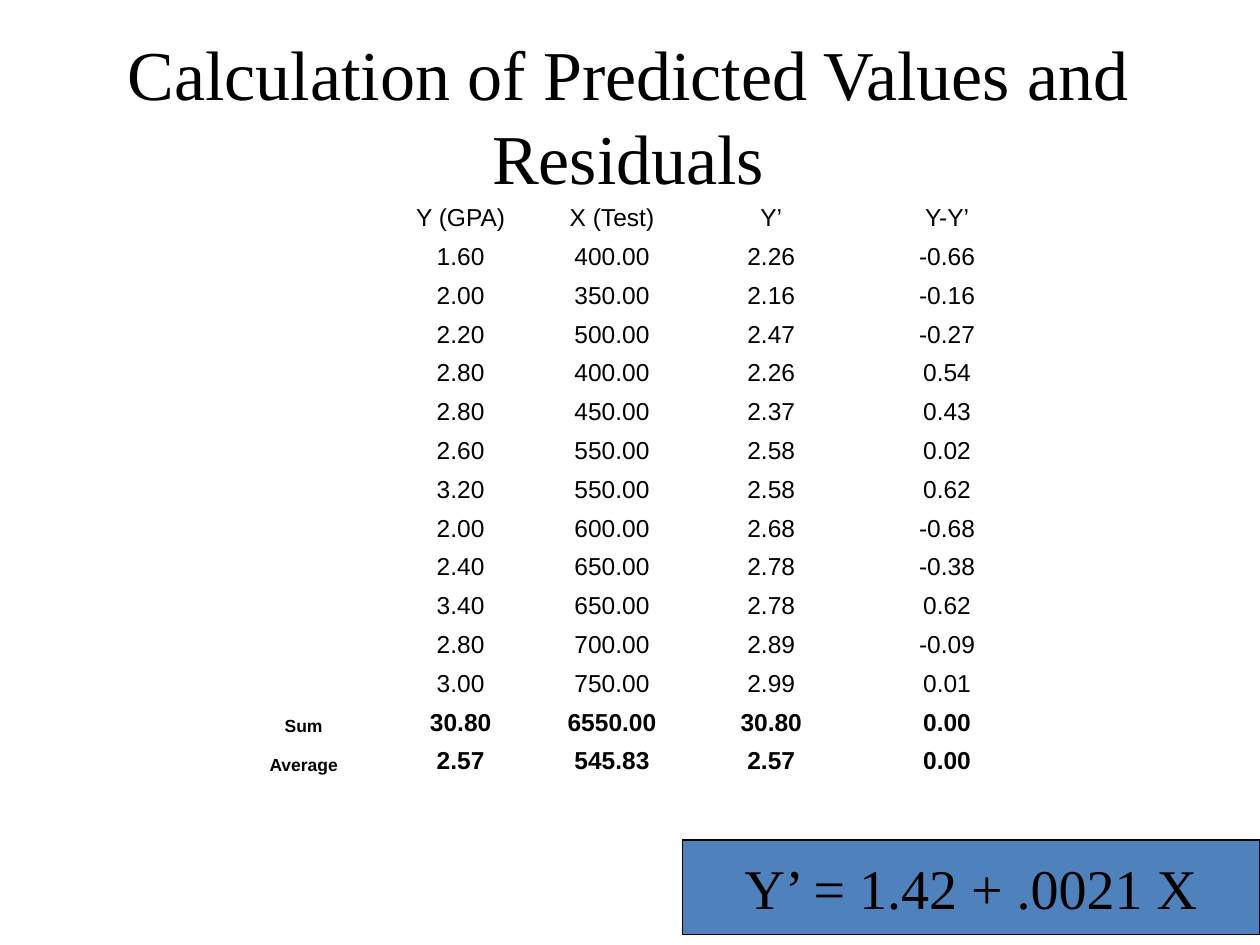
from dataclasses import dataclass

from pptx import Presentation
from pptx import util as u
from pptx.dml.color import RGBColor
from pptx.enum import shapes, text


@dataclass(frozen=True)
class Theme:
    ink: str = "000000"
    paper: str = "FFFFFF"
    accent: str = "4F81BD"
    serif: str = "Times New Roman"
    sans: str = "Arial"
    head: int = 40
    rule: int = 32
    body: int = 14
    label: int = 10


HEADS = ("", "Y (GPA)", "X (Test)", "Y’", "Y-Y’")
DATA = """
1.60 400.00 2.26 -0.66
2.00 350.00 2.16 -0.16
2.20 500.00 2.47 -0.27
2.80 400.00 2.26 0.54
2.80 450.00 2.37 0.43
2.60 550.00 2.58 0.02
3.20 550.00 2.58 0.62
2.00 600.00 2.68 -0.68
2.40 650.00 2.78 -0.38
3.40 650.00 2.78 0.62
2.80 700.00 2.89 -0.09
3.00 750.00 2.99 0.01
"""
TOTALS = (
    ("Sum", "30.80", "6550.00", "30.80", "0.00"),
    ("Average", "2.57", "545.83", "2.57", "0.00"),
)
WIDTHS = (95, 84.5, 88.5, 93.5, 107.5)


def write(frame, words, *, size, font, color, bold=False, space=None, hang=0):
    para = frame.paragraphs[0]
    para.alignment = text.PP_ALIGN.CENTER
    para.line_spacing = space
    if hang:
        props = para._p.get_or_add_pPr()
        props.set("marL", str(u.Pt(hang)))
        props.set("indent", str(-u.Pt(hang)))
    if not words:
        para._p.get_or_add_endParaRPr().set("sz", str(size * 100))
        return
    run = para.add_run()
    run.text = words
    run.font.size = u.Pt(size)
    run.font.name = font
    run.font.bold = bold
    run.font.color.rgb = RGBColor.from_string(color)


class Deck:
    """Holds the theme and the slide being built."""

    def __init__(self, theme):
        self.theme = theme
        self.show = Presentation()
        self.show.slide_width, self.show.slide_height = u.Pt(720), u.Pt(540)
        self.slide = self.show.slides.add_slide(self.show.slide_layouts[6])

    def title(self, words, *box):
        frame = self.slide.shapes.add_textbox(*map(u.Pt, box)).text_frame
        frame.word_wrap = True
        frame.vertical_anchor = text.MSO_ANCHOR.MIDDLE
        write(frame, words, size=self.theme.head, font=self.theme.serif,
              color=self.theme.ink)

    def table(self, rows, bold, left, top, widths, height):
        box = (left, top, sum(widths), height * len(rows))
        grid = self.slide.shapes.add_table(
            len(rows), len(widths), *map(u.Pt, box)).table
        grid.first_row = grid.horz_banding = False
        for col, width in zip(grid.columns, widths):
            col.width = u.Pt(width)
        for r, row in enumerate(rows):
            grid.rows[r].height = u.Pt(height)
            for c, words in enumerate(row):
                cell = grid.cell(r, c)
                cell.fill.solid()
                cell.fill.fore_color.rgb = RGBColor.from_string(self.theme.paper)
                cell.vertical_anchor = text.MSO_ANCHOR.BOTTOM
                write(cell.text_frame, words, font=self.theme.sans,
                      size=self.theme.body if c else self.theme.label,
                      color=self.theme.ink, bold=r >= len(rows) - bold,
                      space=0.95, hang=27)

    def panel(self, words, *box):
        rect = self.slide.shapes.add_shape(
            shapes.MSO_SHAPE.RECTANGLE, *map(u.Pt, box))
        rect.shadow.inherit = False
        rect.fill.solid()
        rect.fill.fore_color.rgb = RGBColor.from_string(self.theme.accent)
        rect.line.color.rgb = RGBColor.from_string(self.theme.ink)
        rect.line.width = u.Pt(0.75)
        rect.text_frame.word_wrap = False
        rect.text_frame.vertical_anchor = text.MSO_ANCHOR.MIDDLE
        write(rect.text_frame, words, size=self.theme.rule,
              font=self.theme.serif, color=self.theme.ink)

    def save(self):
        self.show.save("out.pptx")


def main():
    deck = Deck(Theme())
    cases = [("", *line.split()) for line in DATA.strip().splitlines()]
    deck.table([HEADS, *cases, *TOTALS], len(TOTALS), 126, 114, WIDTHS, 19.5)
    deck.title("Calculation of Predicted Values and Residuals",
               17, 48, 684, 34.5)
    deck.panel("Y’ = 1.42 + .0021 X", 390, 480, 330, 54)
    deck.save()


if __name__ == "__main__":
    main()
